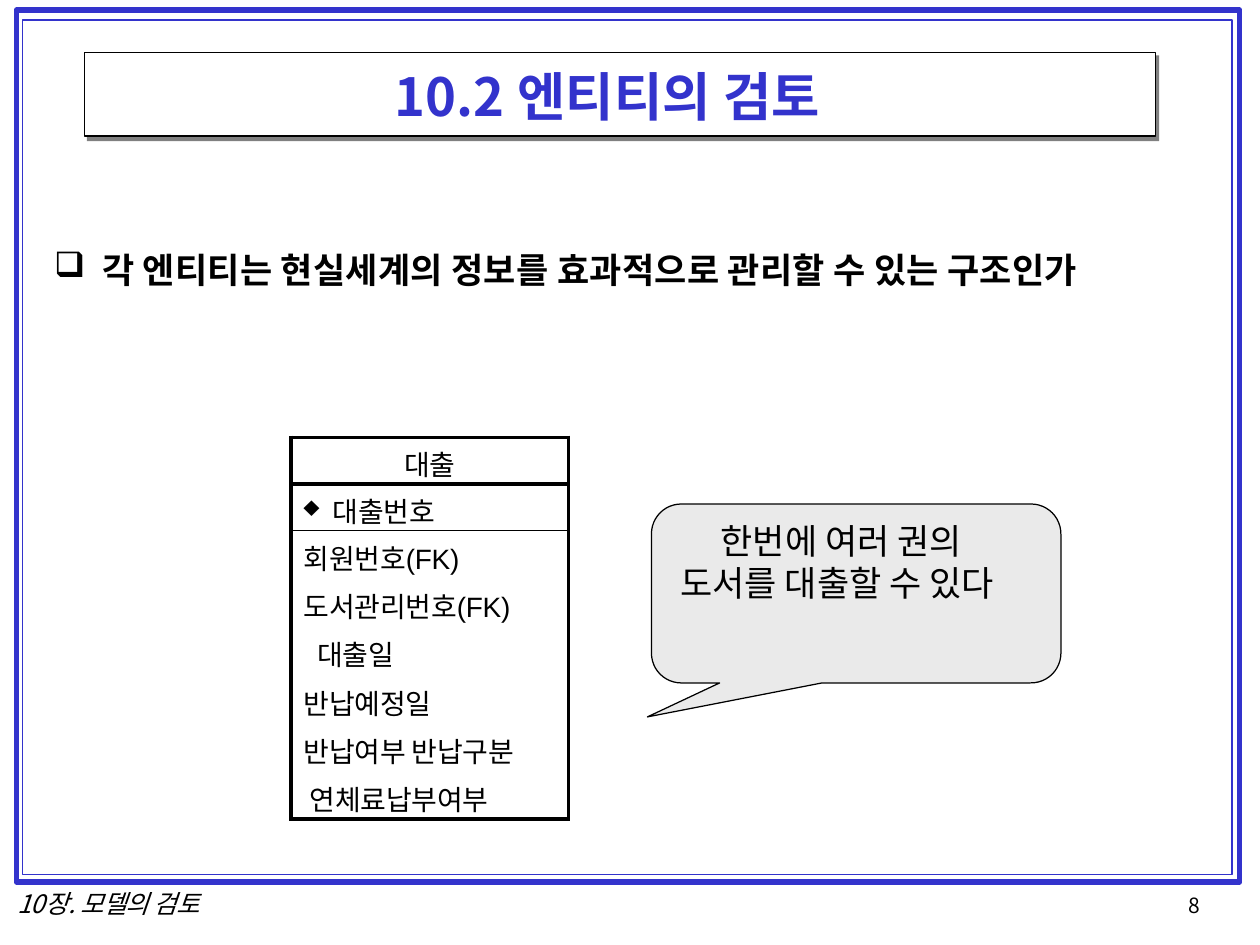
from lxml.etree import SubElement
from pptx import Presentation
from pptx.dml.color import RGBColor
from pptx.enum.shapes import MSO_SHAPE as Preset
from pptx.enum.text import PP_ALIGN as Align
from pptx.oxml.ns import qn
from pptx.util import Inches, Pt

COLORS = {"blue": "3333CC", "black": "000000", "white": "FFFFFF",
          "shadow": "808080", "callout": "EAEAEA"}
KOREAN = "Noto Sans CJK KR"

deck = Presentation()
deck.slide_width, deck.slide_height = Inches(10), Inches(7.5)
page = deck.slides.add_slide(deck.slide_layouts[6])
column, row = deck.slide_width / 100, deck.slide_height / 75


def place(left, top, width, height):
    return [round(value * unit) for value, unit in
            zip((left, top, width, height), (column, row, column, row))]


def write(para, text, size, left=0, first=0, before=0, spacing=0, bullet=None,
          lines=None, color="black", bold=False, italic=False, align=Align.LEFT):
    para.text, para.alignment = text, align
    para.space_before = Pt(before)
    if lines:
        para.line_spacing = lines
    layout = para._p.get_or_add_pPr()
    layout.set("marL", str(round(left * column)))
    layout.set("indent", str(round(first * column)))
    if bullet:
        SubElement(layout, qn("a:buChar"), char=bullet)
    font = para.font
    font.name, font.size, font.bold, font.italic = KOREAN, Pt(size), bold, italic
    font.color.rgb = RGBColor.from_string(COLORS[color])
    font._element.set("spc", str(spacing)) if hasattr(font, "_element") else font._rPr.set("spc", str(spacing))
    SubElement(font._rPr, qn("a:ea"), typeface=KOREAN)


rectangle = Preset.RECTANGLE
for preset, area, fill, line, weight in [
    (rectangle, (1.3, 0.8, 97.1, 69.2), None, "blue", 3),
    (rectangle, (1.8, 1.6, 96, 67.8), None, "blue", 0.96),
    (rectangle, (6.9, 4.4, 85.1, 6.8), "shadow", None, 0),
    (rectangle, (6.7, 4.2, 85, 6.6), "white", "black", 0.72),
    (Preset.ROUNDED_RECTANGULAR_CALLOUT, (51.7, 40, 32.5, 14.2),
     "callout", "black", 0.72),
]:
    shape = page.shapes.add_shape(preset, *place(*area))
    shape.shadow.inherit = False
    if fill:
        shape.fill.solid()
        shape.fill.fore_color.rgb = RGBColor.from_string(COLORS[fill])
    else:
        shape.fill.background()
    if line:
        shape.line.color.rgb = RGBColor.from_string(COLORS[line])
        shape.line.width = Pt(weight)
    else:
        shape.line.fill.background()
    if preset != rectangle:
        shape.adjustments[0], shape.adjustments[1] = -0.51, 0.69

for area, inset, text, style in [
    ((6.7, 5, 84.9, 5.3), 0.1, "10.2 엔티티의 검토",
     dict(size=30, left=24.6, before=1, spacing=15, color="blue", bold=True)),
    ((4.2, 19.6, 87.7, 3.6), 0.1, "각 엔티티는 현실세계의 정보를 효과적으로 관리할 수 있는 구조인가",
     dict(size=20, left=3.9, first=-3.8, before=1.1, spacing=15,
          bullet="❑", bold=True)),
    ((53.9, 41.1, 28, 7), 0.1, "한번에 여러 권의\v도서를 대출할 수 있다",
     dict(size=20, left=0.1, first=3.2, before=1)),
    ((1.3, 70.6, 16, 2.3), 0, "10장. 모델의 검토",
     dict(size=14.5, left=0.1, spacing=-40, lines=Pt(16.6), italic=True)),
    ((93.9, 70.9, 2.9, 1.9), 0, "8",
     dict(size=12, left=0.4, lines=Pt(13.7))),
]:
    box = page.shapes.add_textbox(*place(*area))
    frame = box.text_frame
    frame.word_wrap = True
    frame.margin_left = frame.margin_right = frame.margin_bottom = 0
    frame.margin_top = round(inset * row)
    write(frame.paragraphs[0], text, **style)

entity = page.shapes.add_table(3, 1, *place(23.1, 34.7, 22, 30.3)).table
entity.first_row = entity.horz_banding = False
entity_rows = [
    (3.7, 2.25, 2.25, [("대출", "", dict(align=Align.CENTER, before=3.4))]),
    (3.7, 2.25, 1, [("대출번호", "", dict(left=3.3, first=-2.3, before=3.4, bullet="♦"))]),
    (22.9, 1, 2.25, [
        ("회원번호", "(FK)", dict(left=1, before=3.4)),
        ("도서관리번호", "(FK)", dict(left=1, lines=1.2)),
        ("대출일", "", dict(left=2.1, lines=1.2)),
        ("반납예정일", "", dict(left=1, lines=1.2)),
        ("반납여부 반납구분", "", dict(left=1, lines=1.2)),
        ("연체료납부여부", "", dict(left=1.5, lines=1.2)),
    ]),
]
for index, (height, above, below, attributes) in enumerate(entity_rows):
    entity.rows[index].height = round(height * row)
    cell = entity.cell(index, 0)
    cell.margin_left = cell.margin_right = cell.margin_bottom = 0
    cell.margin_top = round(0.5 * row)
    borders = cell._tc.get_or_add_tcPr()
    for side, weight in zip("LRTB", (2.25, 2.25, above, below)):
        border = SubElement(borders, qn(f"a:ln{side}"), w=str(Pt(weight)))
        paint = SubElement(border, qn("a:solidFill"))
        SubElement(paint, qn("a:srgbClr"), val=COLORS["black"])
    cell.fill.background()
    for position, (name, key, style) in enumerate(attributes):
        frame = cell.text_frame
        para = frame.add_paragraph() if position else frame.paragraphs[0]
        write(para, name, 16, spacing=-10, **style)
        if key:
            span = para.add_run()
            span.text, span.font.name = key, "Arial"

deck.save("out.pptx")
